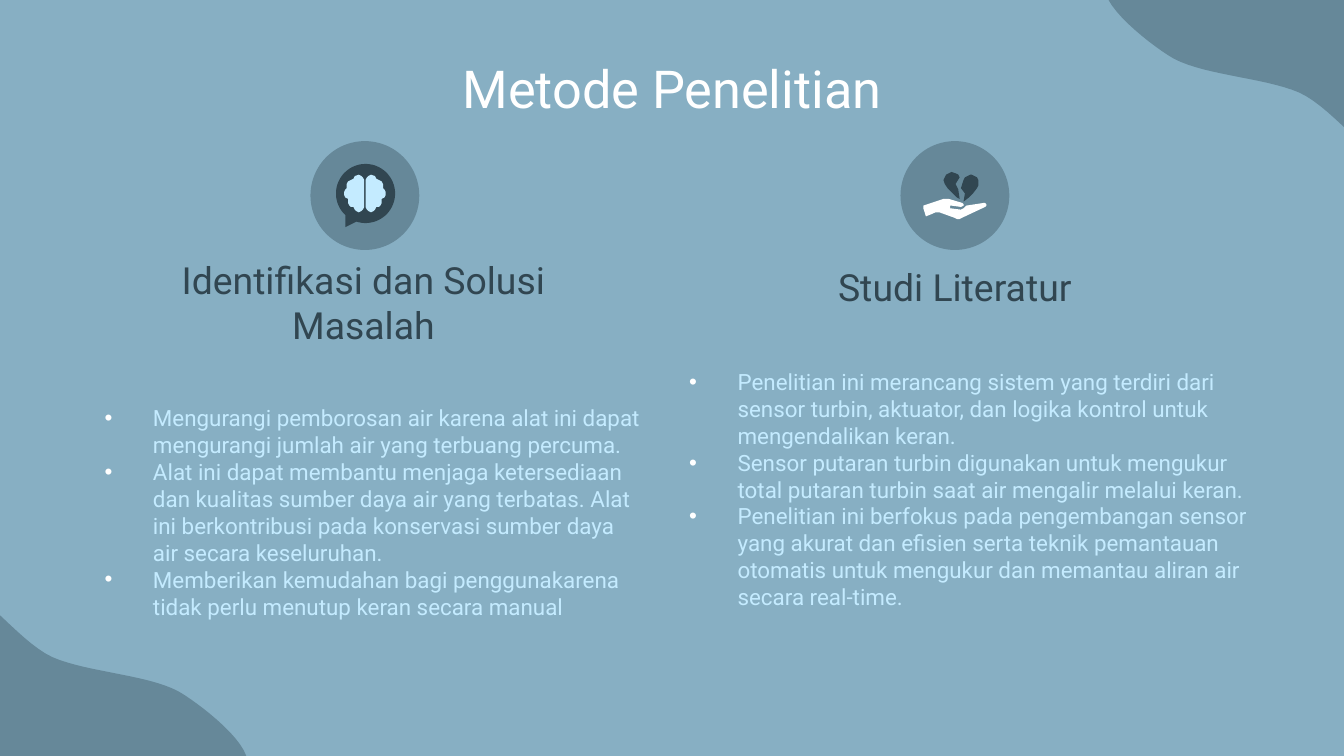
from dataclasses import dataclass
from math import cos, radians, sin

from lxml.etree import SubElement
from pptx import Presentation
from pptx.dml.color import RGBColor
from pptx.enum.shapes import MSO_SHAPE
from pptx.enum.text import MSO_ANCHOR, PP_ALIGN
from pptx.oxml.ns import qn
from pptx.util import Inches, Pt


@dataclass(frozen=True)
class Theme:
    """Colours, fonts and type sizes of the slide."""
    background: str = "87AFC3"
    accent: str = "668899"
    dark: str = "314651"
    light: str = "C4EBFF"
    white: str = "FFFFFF"
    font: str = "Roboto"
    bullet_font: str = "Arial"
    title_size: int = 28
    heading_size: int = 20
    body_size: int = 12


THEME = Theme()

BLOB_START = (10.37, 1.14)
BLOB_CURVES = [
    ((10.25, 1.29), (9.95, 0.82), (9.67, 0.69)),
    ((9.39, 0.57), (8.91, 0.56), (8.69, 0.41)),
    ((8.46, 0.26), (8.03, -0.1), (8.31, -0.2)),
    ((8.6, -0.3), (10.03, -0.42), (10.38, -0.2)),
    ((10.72, 0.02), (10.48, 0.99), (10.37, 1.14)),
]
BRAIN_HALF = [
    (2.76, 1.3), (2.74, 1.31), (2.73, 1.32), (2.72, 1.34), (2.72, 1.54),
    (2.73, 1.56), (2.74, 1.57), (2.76, 1.58), (2.78, 1.57), (2.79, 1.56),
    (2.8, 1.54), (2.82, 1.54), (2.83, 1.53), (2.84, 1.51), (2.84, 1.48),
    (2.86, 1.47), (2.87, 1.45), (2.87, 1.43), (2.86, 1.41), (2.85, 1.4),
    (2.85, 1.37), (2.84, 1.35), (2.82, 1.34), (2.8, 1.33), (2.79, 1.31),
]
HAND = [
    (7.04, 1.48), (7.02, 1.48), (6.87, 1.53), (6.87, 1.55), (6.89, 1.61),
    (6.94, 1.59), (6.96, 1.58), (6.99, 1.58), (7.1, 1.62), (7.12, 1.63),
    (7.14, 1.63), (7.16, 1.62), (7.33, 1.54), (7.34, 1.53), (7.34, 1.52),
    (7.33, 1.51), (7.32, 1.51), (7.19, 1.53), (7.17, 1.55), (7.15, 1.56),
    (7.07, 1.55), (7.07, 1.53), (7.08, 1.53), (7.15, 1.54), (7.17, 1.53),
    (7.17, 1.52), (7.16, 1.51), (7.06, 1.48),
]
HEART_RIGHT = [
    (7.22, 1.3), (7.2, 1.31), (7.18, 1.32), (7.17, 1.34), (7.15, 1.4),
    (7.18, 1.44), (7.17, 1.5), (7.21, 1.47), (7.24, 1.44), (7.27, 1.4),
    (7.28, 1.38), (7.28, 1.34), (7.27, 1.32), (7.25, 1.31), (7.23, 1.3),
]
HEART_LEFT = [
    (7.08, 1.28), (7.06, 1.29), (7.04, 1.3), (7.03, 1.32), (7.02, 1.34),
    (7.03, 1.37), (7.05, 1.4), (7.08, 1.43), (7.12, 1.47), (7.14, 1.48),
    (7.13, 1.41), (7.11, 1.37), (7.14, 1.32), (7.13, 1.3), (7.11, 1.29),
]

PROBLEM_POINTS = [
    "Mengurangi pemborosan air karena alat ini dapat mengurangi jumlah air yang terbuang percuma.",
    "Alat ini dapat membantu menjaga ketersediaan dan kualitas sumber daya air yang terbatas. "
    "Alat ini berkontribusi pada konservasi sumber daya air secara keseluruhan.",
    "Memberikan kemudahan bagi penggunakarena tidak perlu menutup keran secara manual",
]
LITERATURE_POINTS = [
    "Penelitian ini merancang sistem yang terdiri dari sensor turbin, aktuator, "
    "dan logika kontrol untuk mengendalikan keran.",
    "Sensor putaran turbin digunakan untuk mengukur total putaran turbin saat air mengalir melalui keran.",
    "Penelitian ini berfokus pada pengembangan sensor yang akurat dan efisien serta teknik "
    "pemantauan otomatis untuk mengukur dan memantau aliran air secara real-time.",
]


def paint(shape, color):
    """Give a shape a flat fill without line or shadow."""
    shape.shadow.inherit = False
    shape.fill.solid()
    shape.fill.fore_color.rgb = RGBColor.from_string(color)
    shape.line.fill.background()


def add_outline(shapes, points, color):
    """Draw a closed outline through points given in inches."""
    start, *rest = [(Inches(x), Inches(y)) for x, y in points]
    builder = shapes.build_freeform(*start)
    builder.add_line_segments(rest, close=True)
    shape = builder.convert_to_shape()
    paint(shape, color)
    return shape


def curve_points(start, curves, steps=16):
    """Return points along a chain of cubic curves."""
    points = [start]
    for first, second, end in curves:
        origin = points[-1]
        for step in range(1, steps + 1):
            t = step / steps
            weights = ((1 - t) ** 3, 3 * t * (1 - t) ** 2, 3 * t * t * (1 - t), t ** 3)
            corners = (origin, first, second, end)
            points.append(tuple(sum(w * corner[axis] for w, corner in zip(weights, corners))
                                for axis in (0, 1)))
    return points


def add_blobs(shapes):
    """Place the corner blob and its half-turned twin."""
    points = curve_points(BLOB_START, BLOB_CURVES)
    add_outline(shapes, points, THEME.accent)
    twin = add_outline(shapes, points, THEME.accent)
    twin.left = Inches(10.06) - twin.left - twin.width
    twin.top = Inches(5.58) - twin.top - twin.height
    twin.rotation = 180


def add_disc(shapes, left):
    """Add the round backing of an icon."""
    disc = shapes.add_shape(MSO_SHAPE.OVAL, Inches(left), Inches(1.05), Inches(0.81), Inches(0.81))
    paint(disc, THEME.accent)


def add_brain_icon(shapes):
    """Draw a speech bubble holding a brain."""
    group = shapes.add_group_shape().shapes
    bubble = [(2.72 + 0.22 * cos(radians(angle)), 1.44 + 0.22 * sin(radians(angle)))
              for angle in range(108, -228, -5)]
    add_outline(group, bubble + [(2.57, 1.69)], THEME.dark)
    add_outline(group, BRAIN_HALF, THEME.light)
    add_outline(group, [(5.43 - x, y) for x, y in BRAIN_HALF], THEME.light)


def add_heart_icon(shapes):
    """Draw a hand under a broken heart."""
    group = shapes.add_group_shape().shapes
    add_outline(group, HAND, THEME.white)
    add_outline(group, HEART_RIGHT, THEME.dark)
    add_outline(group, HEART_LEFT, THEME.dark)


def add_bullet(paragraph):
    """Give a paragraph a white bullet and a hanging indent."""
    properties = paragraph._p.get_or_add_pPr()
    properties.set("marL", str(Inches(0.5)))
    properties.set("indent", str(Inches(-0.36)))
    color = SubElement(properties, qn("a:buClr"))
    SubElement(color, qn("a:srgbClr"), val=THEME.white)
    SubElement(properties, qn("a:buFont"), typeface=THEME.bullet_font)
    SubElement(properties, qn("a:buChar"), char="•")


def add_text(shapes, box, texts, size, color, bulleted=False):
    """Add a middle-anchored text box, centred or bulleted."""
    frame = shapes.add_textbox(*[Inches(value) for value in box]).text_frame
    frame.word_wrap = True
    frame.vertical_anchor = MSO_ANCHOR.MIDDLE
    frame.margin_left = frame.margin_right = Inches(0.1)
    frame.margin_top = frame.margin_bottom = Inches(0.1)
    for index, text in enumerate(texts):
        paragraph = frame.add_paragraph() if index else frame.paragraphs[0]
        if bulleted:
            add_bullet(paragraph)
        else:
            paragraph.alignment = PP_ALIGN.CENTER
        run = paragraph.add_run()
        run.text = text
        run.font.name = THEME.font
        run.font.size = Pt(size)
        run.font.color.rgb = RGBColor.from_string(color)


def main():
    """Build and save the slide."""
    presentation = Presentation()
    presentation.slide_width = Inches(10)
    presentation.slide_height = presentation.slide_width * 9 // 16
    slide = presentation.slides.add_slide(presentation.slide_layouts[6])
    slide.background.fill.solid()
    slide.background.fill.fore_color.rgb = RGBColor.from_string(THEME.background)
    shapes = slide.shapes
    add_blobs(shapes)
    add_text(shapes, (0.78, 0.51, 8.44, 0.29), ["Metode Penelitian"], THEME.title_size, THEME.white)
    columns = [
        (2.31, add_brain_icon, "Identifikasi dan Solusi Masalah", (0.83, 1.69, 3.75, 1.11),
         PROBLEM_POINTS, (0.54, 2.44, 4.33, 2.74)),
        (6.7, add_heart_icon, "Studi Literatur", (5.23, 1.58, 3.75, 1.11),
         LITERATURE_POINTS, (4.89, 2.27, 4.53, 2.74)),
    ]
    for disc_left, add_icon, heading, heading_box, points, points_box in columns:
        add_disc(shapes, disc_left)
        add_icon(shapes)
        add_text(shapes, heading_box, [heading], THEME.heading_size, THEME.dark)
        add_text(shapes, points_box, points, THEME.body_size, THEME.light, bulleted=True)
    presentation.save("out.pptx")


if __name__ == "__main__":
    main()
